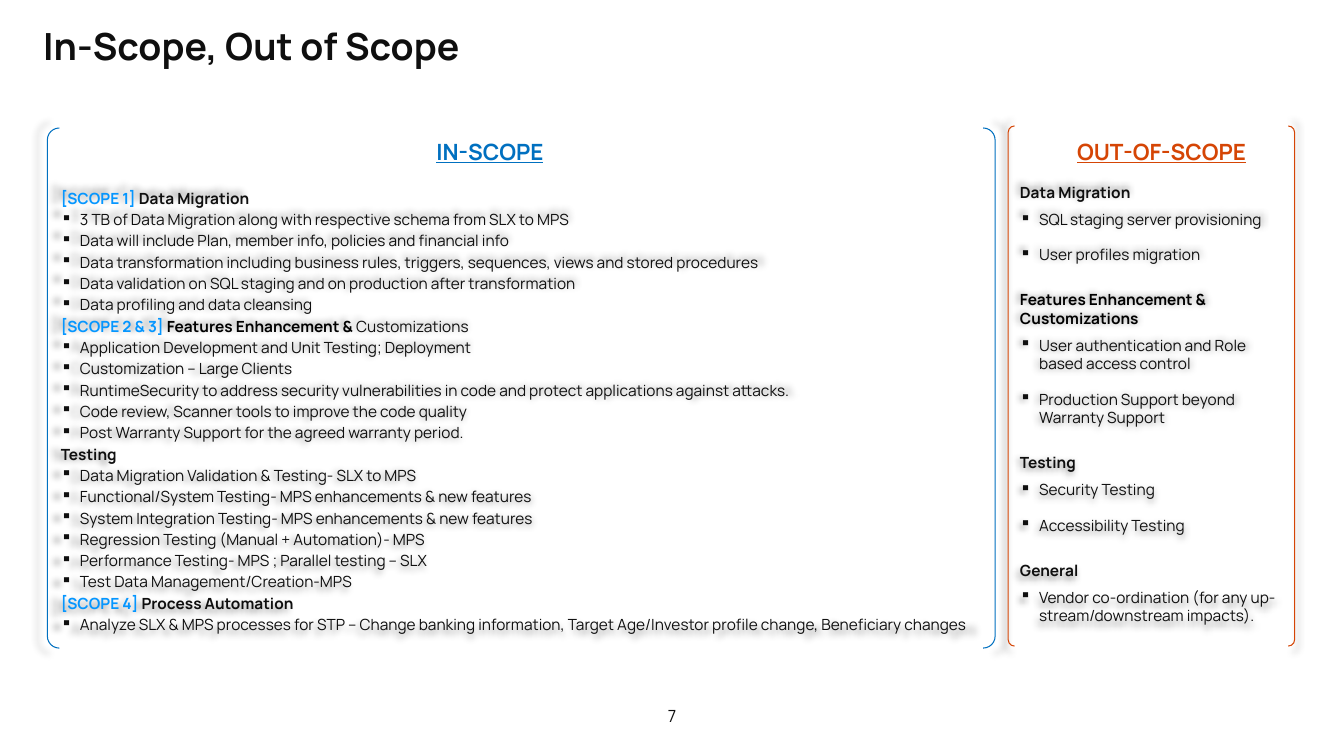
from pptx import Presentation
from pptx.dml.color import RGBColor
from pptx.enum.shapes import MSO_SHAPE
from pptx.enum.text import MSO_ANCHOR, PP_ALIGN
from pptx.oxml import parse_xml
from pptx.oxml.ns import nsdecls
from pptx.util import Inches, Pt

INK, BLACK, SKY = "0F0F0F", "000000", "0596FF"
BLUE, RUST = "0070C0", "D54505"


def paint(color, text):
    color.rgb = RGBColor.from_string(text)


def add_run(para, text, size, color=INK, bold=False, line=False):
    run = para.add_run()
    run.text = text
    font = run.font
    font.name = "Manrope"
    font.size = Pt(size)
    font.bold = bold
    font.underline = line
    paint(font.color, color)


prs = Presentation()
prs.slide_width, prs.slide_height = Inches(13.33), Inches(7.5)
slide = prs.slides.add_slide(prs.slide_layouts[6])

in_scope = [
    ([("[SCOPE 1] ", SKY, True), ("Data Migration", INK, True)], [
        "3 TB of Data Migration along with respective schema from SLX to MPS",
        "Data will include Plan, member info, policies and financial info",
        "Data transformation including business rules, triggers, sequences, views and stored procedures",
        "Data validation on SQL staging and on production after transformation",
        "Data profiling and data cleansing",
    ]),
    ([("[SCOPE 2 & 3] ", SKY, True), ("Features Enhancement & ", BLACK, True),
      ("Customizations", INK, False)], [
        "Application Development and Unit Testing; Deployment",
        "Customization – Large Clients",
        "RuntimeSecurity to address security vulnerabilities in code and protect applications against attacks.",
        "Code review, Scanner tools to improve the code quality",
        "Post Warranty Support for the agreed warranty period.",
    ]),
    ([("Testing", INK, True)], [
        "Data Migration Validation & Testing- SLX to MPS",
        "Functional/System Testing- MPS enhancements & new features",
        "System Integration Testing- MPS enhancements & new features",
        "Regression Testing (Manual + Automation)- MPS",
        "Performance Testing- MPS ; Parallel testing – SLX",
        "Test Data Management/Creation-MPS",
    ]),
    ([("[SCOPE 4] ", SKY, True), ("Process Automation", INK, True)], [
        "Analyze SLX & MPS processes for STP – Change banking information, "
        "Target Age/Investor profile change, Beneficiary changes",
    ]),
]
out_scope = [
    ([("Data Migration", INK, True)],
     ["SQL staging server provisioning", "User profiles migration"]),
    ([("Features Enhancement & Customizations", BLACK, True)],
     ["User authentication and Role based access control",
      "Production Support beyond Warranty Support"]),
    ([("Testing", INK, True)], ["Security Testing", "Accessibility Testing"]),
    ([("General", INK, True)],
     ["Vendor co-ordination (for any up-stream/downstream impacts)."]),
]

panels = [
    (0.47, 1.27, 9.4, 0.023, BLUE, in_scope, 0.57, 2, 2, 0),
    (10, 1.25, 2.84, 0.022, RUST, out_scope, 0.55, 13, 6, 6),
]
for left, top, width, curve, color, groups, inset, gap, before, after in panels:
    panel = slide.shapes.add_shape(
        MSO_SHAPE.DOUBLE_BRACKET, Inches(left), Inches(top), Inches(width), Inches(5.16))
    panel.adjustments[0] = curve
    panel.fill.background()
    paint(panel.line.color, color)
    panel.line.width = Pt(0.75)
    panel.shadow.inherit = False
    glow = parse_xml(
        f'<a:outerShdw {nsdecls("a")} blurRad="63500" sx="102000" sy="102000" '
        'algn="ctr" rotWithShape="0"><a:srgbClr val="000000">'
        '<a:alpha val="40000"/></a:srgbClr></a:outerShdw>')
    panel._element.spPr.find("{*}effectLst").append(glow)

    frame = panel.text_frame
    frame.word_wrap = True
    frame.vertical_anchor = MSO_ANCHOR.TOP
    frame.margin_left = frame.margin_right = Inches(0.1)
    frame.margin_top, frame.margin_bottom = Inches(inset), Inches(0.05)
    for index, (head, items) in enumerate(groups):
        para = frame.add_paragraph() if index else frame.paragraphs[0]
        para.alignment = PP_ALIGN.LEFT
        if index:
            para.space_before = Pt(gap)
        for text, tint, bold in head:
            add_run(para, text, 11, tint, bold)
        for item in items:
            para = frame.add_paragraph()
            para.alignment = PP_ALIGN.LEFT
            para.space_before, para.space_after = Pt(before), Pt(after)
            props = para._p.get_or_add_pPr()
            props.set("marL", str(Inches(0.19)))
            props.set("indent", str(Inches(-0.19)))
            props.append(parse_xml(f'<a:buChar {nsdecls("a")} char="▪"/>'))
            add_run(para, item, 11)

labels = [
    (6.35, 6.95, 0.63, 0.3, "7", 12, INK, False, 0.1, 0),
    (2.88, 1.31, 3.76, 0.39, "IN-SCOPE", 16, BLUE, True, 0, 0.2),
    (10.13, 1.31, 2.58, 0.39, "OUT-OF-SCOPE", 16, RUST, True, 0, 0.2),
]
for left, top, width, height, text, size, color, strong, pad, indent in labels:
    label = slide.shapes.add_textbox(
        Inches(left), Inches(top), Inches(width), Inches(height))
    frame = label.text_frame
    frame.word_wrap = True
    frame.vertical_anchor = MSO_ANCHOR.MIDDLE
    frame.margin_left = frame.margin_right = Inches(pad)
    frame.margin_top = frame.margin_bottom = Inches(pad / 2)
    para = frame.paragraphs[0]
    para.alignment = PP_ALIGN.CENTER
    para._p.get_or_add_pPr().set("marL", str(Inches(indent)))
    add_run(para, text, size, color, strong, strong)

title = slide.shapes.add_textbox(Inches(0.33), Inches(0.18), Inches(12.51), Inches(1.07))
title.text_frame.word_wrap = True
add_run(title.text_frame.paragraphs[0], "In-Scope, Out of Scope", 26.7, INK, True)

prs.save("out.pptx")
